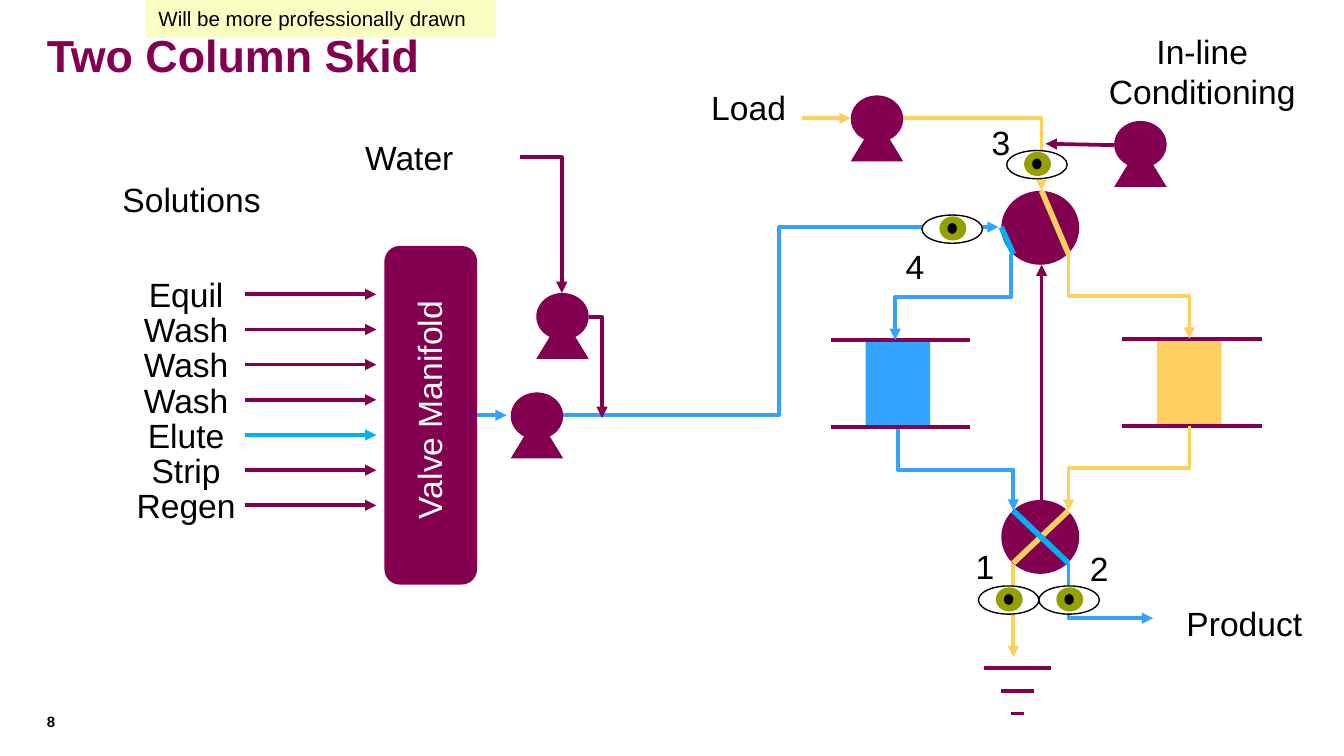
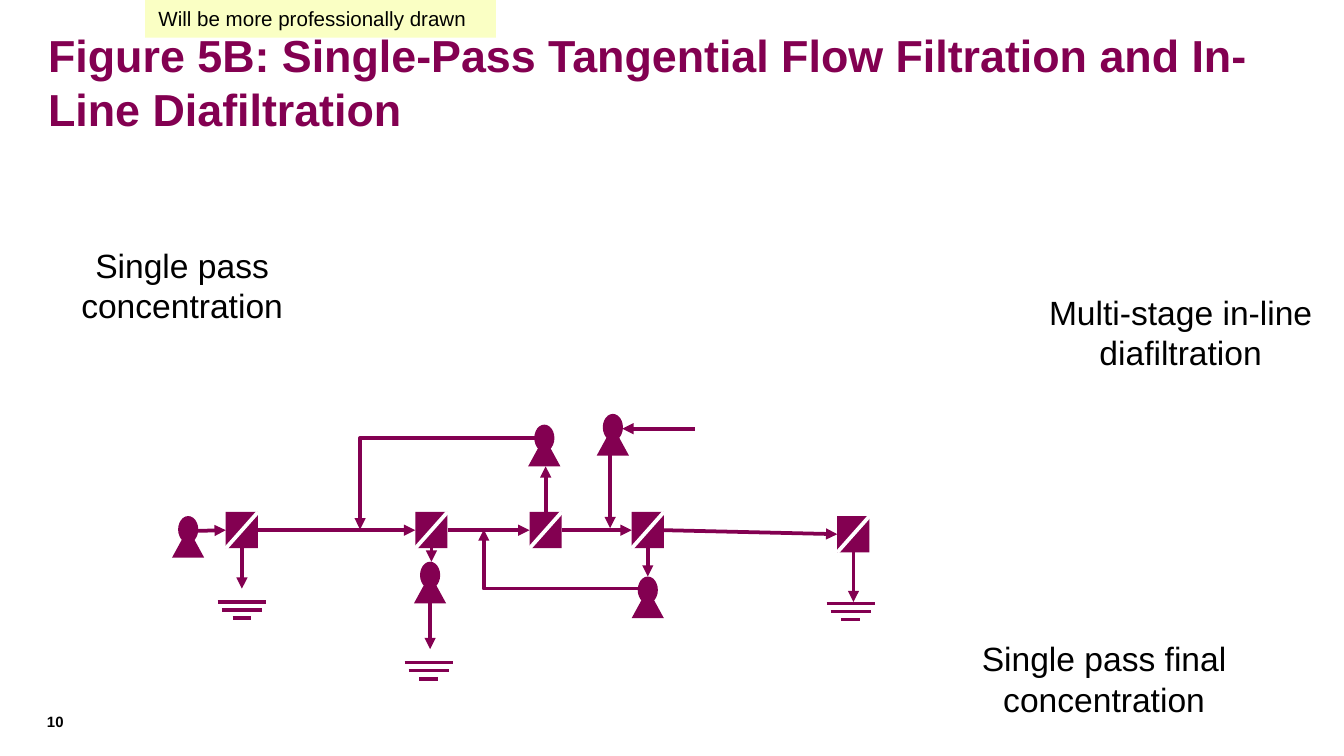
from dataclasses import dataclass
from typing import Optional

import pptx
import pptx.dml.color
import pptx.enum.shapes
import pptx.enum.text
import pptx.oxml
import pptx.oxml.ns
import pptx.util
from pptx.util import Inches

COLORS = {
    "plum": "830051", "blue": "32A4FF", "cyan": "00B0F0", "gold": "FFD05D",
    "olive": "93A000", "note": "FAFFC4", "black": "000000", "white": "FFFFFF",
}
FONT = "Arial"
SHAPE = pptx.enum.shapes.MSO_SHAPE
CONNECTOR = pptx.enum.shapes.MSO_CONNECTOR
ALIGN = pptx.enum.text.PP_ALIGN
TOP, LEFT, BOTTOM, RIGHT = range(4)
Point = tuple[float, float]


@dataclass(frozen=True)
class Label:
    text: str
    left: float
    top: float
    width: float
    height: float = 0.4
    centred: bool = False
    wrap: bool = True
    size: float = 18
    bold: bool = False
    color: str = "black"
    inset: Optional[float] = None
    rotation: float = 0


@dataclass(frozen=True)
class PumpSize:
    head_width: float
    head_height: float
    base_width: float
    base_drop: float
    base_height: float


@dataclass(frozen=True)
class Drain:
    center: float
    top: float
    gap: float = 0.06
    half_widths: tuple[float, ...] = (0.18, 0.15, 0.07)


@dataclass(frozen=True)
class Flow:
    start: Point
    end: Point
    color: str = "plum"
    arrow: bool = True
    width: float = 2


@dataclass(frozen=True)
class Elbow:
    start: Point
    end: Point
    color: str = "plum"
    bends: int = 1
    down_first: bool = False


LARGE_PUMP = PumpSize(0.39, 0.35, 0.39, 0.17, 0.32)
SMALL_PUMP = PumpSize(0.15, 0.2, 0.24, 0.09, 0.22)


def rgb(name: str) -> pptx.dml.color.RGBColor:
    return pptx.dml.color.RGBColor.from_string(COLORS[name])


# Basic parts
def write(frame, text: str, size: float, color: str, bold: bool, centred: bool) -> None:
    paragraph = frame.paragraphs[0]
    paragraph.text = text
    paragraph.alignment = ALIGN.CENTER if centred else ALIGN.LEFT
    paragraph.font.name = FONT
    paragraph.font.size = pptx.util.Pt(size)
    paragraph.font.bold = bold
    paragraph.font.color.rgb = rgb(color)


def draw_label(slide, label: Label) -> None:
    box = slide.shapes.add_textbox(Inches(label.left), Inches(label.top),
                                   Inches(label.width), Inches(label.height))
    box.rotation = label.rotation
    frame = box.text_frame
    frame.word_wrap = label.wrap
    if label.inset is not None:
        frame.margin_left = frame.margin_right = Inches(label.inset)
        frame.margin_top = frame.margin_bottom = Inches(label.inset)
    write(frame, label.text, label.size, label.color, label.bold, label.centred)


def draw_block(slide, kind, left: float, top: float, width: float, height: float,
               fill: str, outline: Optional[str] = None):
    block = slide.shapes.add_shape(kind, Inches(left), Inches(top),
                                   Inches(width), Inches(height))
    block.shadow.inherit = False
    block.fill.solid()
    block.fill.fore_color.rgb = rgb(fill)
    if outline:
        block.line.color.rgb = rgb(outline)
        block.line.width = pptx.util.Pt(0.75)
    else:
        block.line.fill.background()
    return block


def connect(slide, kind, flow: Flow):
    connector = slide.shapes.add_connector(
        kind, *(Inches(value) for value in (*flow.start, *flow.end)))
    connector.line.color.rgb = rgb(flow.color)
    connector.line.width = pptx.util.Pt(flow.width)
    properties = connector._element.spPr
    if flow.arrow:
        tail = pptx.oxml.parse_xml(
            f'<a:tailEnd {pptx.oxml.ns.nsdecls("a")} type="triangle"/>')
        properties.find(pptx.oxml.ns.qn("a:ln")).append(tail)
    properties.append(pptx.oxml.parse_xml(f'<a:effectLst {pptx.oxml.ns.nsdecls("a")}/>'))
    return connector


def draw_flow(slide, flow: Flow, begin=None, end=None) -> None:
    connector = connect(slide, CONNECTOR.STRAIGHT, flow)
    if begin:
        connector.begin_connect(*begin)
    if end:
        connector.end_connect(*end)


def draw_elbow(slide, elbow: Elbow) -> None:
    start, end, rotation = elbow.start, elbow.end, 0
    if elbow.down_first:
        # A path that sets off downwards is a sideways path turned about its centre
        (x1, y1), (x2, y2) = start, end
        cx, cy = (x1 + x2) / 2, (y1 + y2) / 2
        half_w, half_h = (y2 - y1) / 2, abs(x2 - x1) / 2
        rotation = 270 if x2 > x1 else 90
        if x2 > x1:
            half_w = -half_w
        start, end = (cx - half_w, cy - half_h), (cx + half_w, cy + half_h)
    connector = connect(slide, CONNECTOR.ELBOW, Flow(start, end, elbow.color))
    properties = connector._element.spPr
    geometry = properties.find(pptx.oxml.ns.qn("a:prstGeom"))
    geometry.set("prst", f"bentConnector{elbow.bends + 1}")
    if rotation:
        properties.find(pptx.oxml.ns.qn("a:xfrm")).set("rot", str(rotation * 60000))


# Equipment symbols
def draw_pump(slide, left: float, top: float, size: PumpSize) -> None:
    inset = (size.base_width - size.head_width) / 2
    draw_block(slide, SHAPE.OVAL, left + inset, top, size.head_width, size.head_height, "plum")
    draw_block(slide, SHAPE.ISOSCELES_TRIANGLE, left, top + size.base_drop,
               size.base_width, size.base_height, "plum")


def draw_drain(slide, drain: Drain) -> None:
    for row, half in enumerate(drain.half_widths):
        y = drain.top + row * drain.gap
        draw_flow(slide, Flow((drain.center - half, y), (drain.center + half, y), arrow=False))


def draw_column(slide, left: float, top: float, fill: str) -> None:
    draw_block(slide, SHAPE.RECTANGLE, left, top, 0.48, 0.65, fill)
    for y in (top, top + 0.65):
        draw_flow(slide, Flow((left - 0.26, y), (left + 0.78, y), arrow=False))


def draw_valve(slide, left: float, top: float, passages: list[Flow]) -> None:
    draw_block(slide, SHAPE.OVAL, left, top, 0.58, 0.55, "plum")
    for passage in passages:
        draw_flow(slide, passage)


def draw_eye(slide, left: float, top: float) -> None:
    draw_block(slide, SHAPE.OVAL, left, top, 0.45, 0.21, "white", "black")
    draw_block(slide, SHAPE.OVAL, left + 0.13, top + 0.01, 0.2, 0.18, "olive")
    draw_block(slide, SHAPE.OVAL, left + 0.19, top + 0.06, 0.07, 0.08, "black")


def draw_filter(slide, left: float, top: float):
    square = draw_block(slide, SHAPE.RECTANGLE, left, top, 0.24, 0.27, "plum")
    draw_flow(slide, Flow((left + 0.24, top), (left, top + 0.27), "white", arrow=False))
    return square


# Shared frame of a slide
def start_slide(deck, title: str, number: str, title_left: float):
    slide = deck.slides.add_slide(deck.slide_layouts[6])
    draw_label(slide, Label(number, 0.35, 5.3, 0.43, 0.18, size=8, bold=True, inset=0))
    draw_label(slide, Label(title, title_left, 0.16, 9.59, 0.55, size=24, bold=True,
                            color="plum"))
    return slide


def add_note(slide) -> None:
    note = draw_block(slide, SHAPE.RECTANGLE, 1.08, -0.01, 2.61, 0.29, "note")
    note.text_frame.word_wrap = True
    write(note.text_frame, "Will be more professionally drawn", 11, "black", False, False)


def build_column_skid(deck) -> None:
    slide = start_slide(deck, "Two Column Skid", "8", 0.25)

    # Solutions feeding the manifold
    manifold = draw_block(slide, SHAPE.ROUNDED_RECTANGLE, 2.86, 1.83, 0.69, 2.52, "plum")
    solutions = ["Equil", "Wash", "Wash", "Wash", "Elute", "Strip", "Regen"]
    row_gap = 1.57 / (len(solutions) - 1)
    for row, solution in enumerate(solutions):
        drop = row * row_gap
        draw_label(slide, Label(solution, 0.91, 1.99 + drop, 0.95, centred=True, wrap=False))
        color = "cyan" if solution == "Elute" else "plum"
        draw_flow(slide, Flow((1.82, 2.19 + drop), (2.8, 2.19 + drop), color))

    # Columns, pumps and pipes
    draw_column(slide, 6.44, 2.53, "blue")
    draw_column(slide, 8.61, 2.52, "gold")
    for elbow in [
        Elbow((6.71, 0.88), (7.75, 1.42), "gold"),
        Elbow((7.52, 1.89), (6.66, 2.53), "blue", 2, True),
        Elbow((7.95, 1.89), (8.85, 2.52), "gold", 2, True),
        Elbow((6.68, 3.19), (7.54, 3.8), "blue", 2, True),
        Elbow((8.85, 3.17), (7.95, 3.8), "gold", 2, True),
        Elbow((7.95, 4.19), (8.58, 4.6), "blue", 1, True),
        Elbow((4.16, 3.09), (7.43, 1.69), "blue", 2),
        Elbow((4.38, 2.36), (4.48, 3.11)),
        Elbow((3.87, 1.17), (4.18, 2.18)),
    ]:
        draw_elbow(slide, elbow)
    for left, top in [(6.33, 0.71), (3.8, 2.92), (3.99, 2.18), (8.29, 0.9)]:
        draw_pump(slide, left, top, LARGE_PUMP)
    draw_flow(slide, Flow((3.55, 3.09), (3.77, 3.09), "blue"), begin=(manifold, RIGHT))
    for flow in [
        Flow((7.54, 4.19), (7.54, 4.89), "gold"),
        Flow((5.97, 0.88), (6.33, 0.88), "gold"),
        Flow((8.29, 1.08), (7.78, 1.07)),
    ]:
        draw_flow(slide, flow)
    draw_drain(slide, Drain(7.57, 4.97, 0.17, (0.25, 0.12, 0.05)))

    # Switching valves and sensors
    draw_valve(slide, 7.45, 1.42, [
        Flow((7.75, 1.42), (7.95, 1.89), "gold", False, 3),
        Flow((7.45, 1.69), (7.54, 1.89), "cyan", False, 3),
    ])
    draw_valve(slide, 7.45, 3.72, [
        Flow((7.95, 3.8), (7.54, 4.19), "gold", False, 3),
        Flow((7.54, 3.8), (7.95, 4.19), "cyan", False, 3),
    ])
    draw_flow(slide, Flow((7.75, 3.72), (7.75, 1.97)))
    for left, top in [(7.28, 4.36), (7.73, 4.36), (7.49, 1.12), (6.86, 1.6)]:
        draw_eye(slide, left, top)

    for label in [
        Label("Water", 2.22, 0.97, 1.65, centred=True),
        Label("Solutions", 0.6, 1.28, 1.65, centred=True),
        Label("Load", 5.19, 0.6, 0.76, centred=True, wrap=False),
        Label("Product", 8.73, 4.44, 1.07, wrap=False),
        Label("In-line Conditioning", 8.14, 0.18, 1.61, 0.71, centred=True),
        Label("Valve Manifold", 2.27, 2.84, 1.84, wrap=False, color="white", rotation=270),
        Label("1", 7.16, 4.01, 0.21),
        Label("2", 8.01, 4.03, 0.21),
        Label("3", 7.28, 0.86, 0.27),
        Label("4", 6.64, 1.78, 0.27),
    ]:
        draw_label(slide, label)
    add_note(slide)


def build_filtration(deck) -> None:
    slide = start_slide(deck, "Figure 5B: Single-Pass Tangential Flow Filtration "
                              "and In-Line Diafiltration", "10", 0.26)

    # Filters, pumps and drains
    first, second, third, fourth, last = (
        draw_filter(slide, left, top) for left, top in
        [(1.68, 3.81), (3.09, 3.81), (3.94, 3.81), (4.7, 3.81), (6.23, 3.84)])
    for left, top in [(4.7, 4.29), (3.93, 3.16), (1.28, 3.84), (3.08, 4.18), (4.44, 3.08)]:
        draw_pump(slide, left, top, SMALL_PUMP)
    for drain in [Drain(1.8, 4.48), Drain(3.19, 4.93), Drain(6.33, 4.49)]:
        draw_drain(slide, drain)

    # Main line from filter to filter
    draw_flow(slide, Flow((1.47, 3.95), (1.68, 3.95)), end=(first, LEFT))
    chain = [first, second, third, fourth, last]
    for source, target in zip(chain, chain[1:]):
        draw_flow(slide, Flow((0, 0), (1, 1)), (source, RIGHT), (target, LEFT))

    # Side streams
    for square, side, flow in [
        (first, BOTTOM, Flow((1.8, 4.08), (1.8, 4.38))),
        (second, BOTTOM, Flow((3.21, 4.08), (3.21, 4.18))),
        (third, TOP, Flow((4.06, 3.81), (4.06, 3.47))),
        (fourth, BOTTOM, Flow((4.82, 4.08), (4.82, 4.29))),
        (last, BOTTOM, Flow((6.35, 4.11), (6.35, 4.48))),
    ]:
        draw_flow(slide, flow, begin=(square, side))
    for flow in [Flow((4.54, 3.36), (4.54, 3.93)), Flow((5.17, 3.19), (4.63, 3.19)),
                 Flow((3.2, 4.49), (3.2, 4.83))]:
        draw_flow(slide, flow)
    draw_elbow(slide, Elbow((4.75, 4.38), (3.6, 3.94)))
    draw_elbow(slide, Elbow((3.98, 3.26), (2.68, 3.94)))

    for text, left, top in [("Single pass concentration", 0, 1.77),
                            ("Multi-stage in-line diafiltration", 7.43, 2.12),
                            ("Single pass final concentration", 6.86, 4.7)]:
        draw_label(slide, Label(text, left, top, 2.71, 0.71, centred=True))
    add_note(slide)


def main() -> None:
    deck = pptx.Presentation()
    deck.slide_width = Inches(10)
    deck.slide_height = deck.slide_width * 9 // 16
    build_column_skid(deck)
    build_filtration(deck)
    deck.save("out.pptx")


if __name__ == "__main__":
    main()
